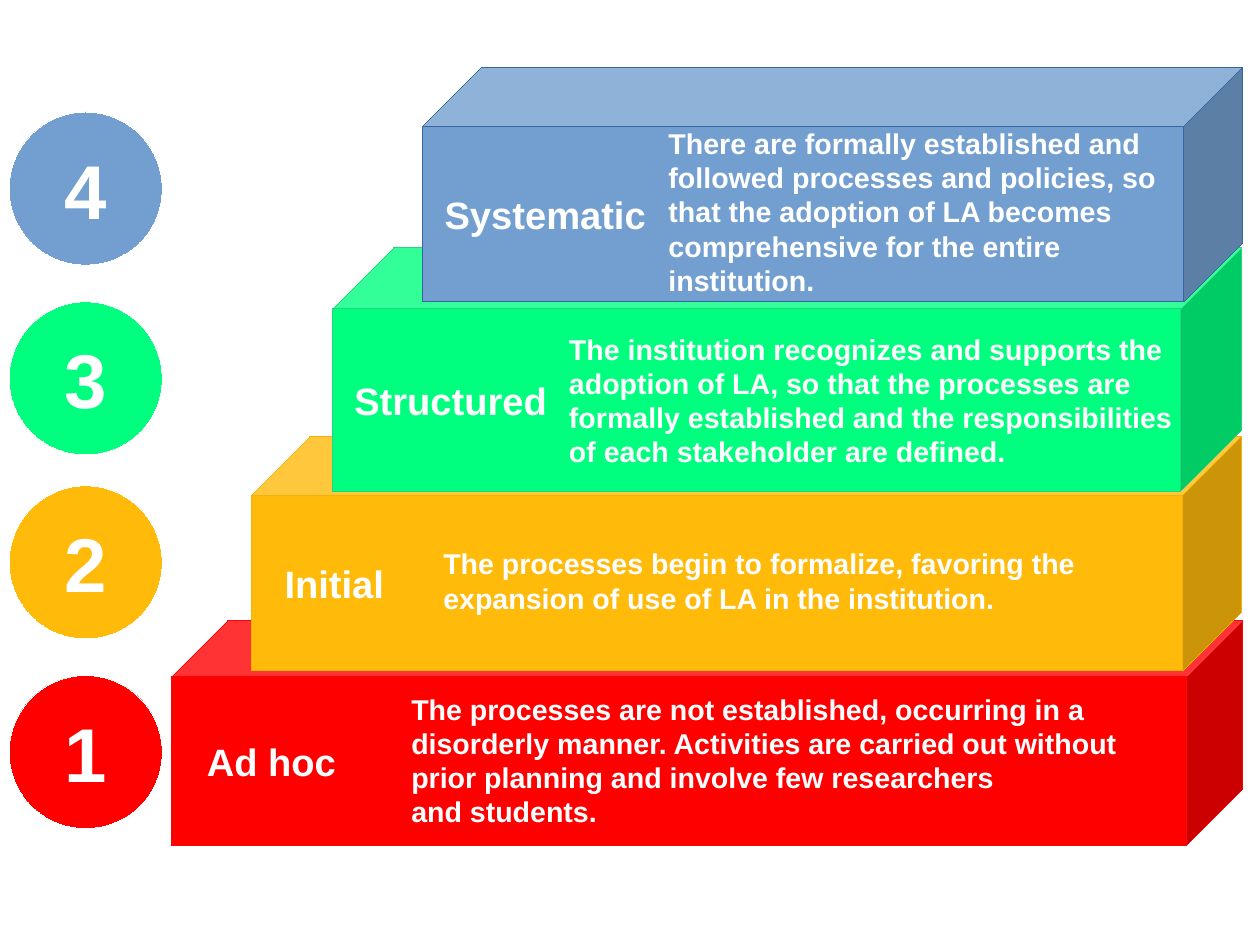
from collections import namedtuple
from pptx import Presentation
from pptx import util as u
from pptx.dml.color import RGBColor
from pptx.enum import shapes, text

Level = namedtuple("Level", "name fill edge cube indent circle_top detail lines")
LEVELS = [
    Level("Ad hoc", "FF0000", "F60606", (1.5, 5.43, 9.37, 1.97), 0.31, 5.91,
          (3.5, 6.1, 6.57, 1.1),
          ["The processes are not established, occurring in a",
           "disorderly manner. Activities are carried out without",
           "prior planning and involve few researchers",
           "and students."]),
    Level("Initial", "FFBA0A", "F4B208", (2.2, 3.82, 8.66, 2.05), 0.29, 4.25,
          (3.78, 4.49, 6.3, 1.18),
          ["The processes begin to formalize, favoring the",
           "expansion of use of LA in the institution."]),
    Level("Structured", "00FF7F", "2BD27E", (2.91, 2.17, 7.95, 2.13), 0.19, 2.64,
          (4.88, 2.91, 5.2, 1.18),
          ["The institution recognizes and supports the",
           "adoption of LA, so that the processes are",
           "formally established and the responsibilities",
           "of each stakeholder are defined."]),
    Level("Systematic", "729FCF", "3465A4", (3.7, 0.59, 7.17, 2.05), 0.19, 0.98,
          (5.75, 1.26, 4.49, 1.18),
          ["There are formally established and",
           "followed processes and policies, so",
           "that the adoption of LA becomes",
           "comprehensive for the entire",
           "institution."]),
]
CIRCLE_LEFT, CIRCLE_SIZE = 0.08, 1.34
THEME = {"font": "Arial", "ink": "FFFFFF", "number": 48, "name": 24, "detail": 18}


def add_block(page, kind, place, fill, edge, lines, size,
              align=text.PP_ALIGN.LEFT, indent=0.1):
    block = page.shapes.add_shape(kind, *map(u.Inches, place))
    block.shadow.inherit = False
    block.fill.solid()
    block.fill.fore_color.rgb = RGBColor.from_string(fill)
    block.line.color.rgb = RGBColor.from_string(edge)
    block.element.spPr.get_or_add_ln().set("w", "0")
    frame = block.text_frame
    frame.word_wrap = False
    frame.vertical_anchor = text.MSO_ANCHOR.MIDDLE
    frame.margin_left = u.Inches(indent)
    for index, line in enumerate(lines):
        para = frame.add_paragraph() if index else frame.paragraphs[0]
        para.alignment = align
        span = para.add_run()
        span.text = line
        span.font.name = THEME["font"]
        span.font.size = u.Pt(THEME[size])
        span.font.bold = True
        span.font.color.rgb = RGBColor.from_string(THEME["ink"])


def main():
    deck = Presentation()
    deck.slide_width, deck.slide_height = u.Cm(28), u.Cm(21)
    page = deck.slides.add_slide(deck.slide_layouts.get_by_name("Blank"))
    kinds = shapes.MSO_SHAPE
    for number, level in enumerate(LEVELS, start=1):
        circle = (CIRCLE_LEFT, level.circle_top, CIRCLE_SIZE, CIRCLE_SIZE)
        add_block(page, kinds.CUBE, level.cube, level.fill, level.edge,
                  [level.name], "name", indent=level.indent)
        add_block(page, kinds.OVAL, circle, level.fill, THEME["ink"],
                  [str(number)], "number", align=text.PP_ALIGN.CENTER)
        add_block(page, kinds.RECTANGLE, level.detail, level.fill, level.fill,
                  level.lines, "detail")
    deck.save("out.pptx")


if __name__ == "__main__":
    main()
